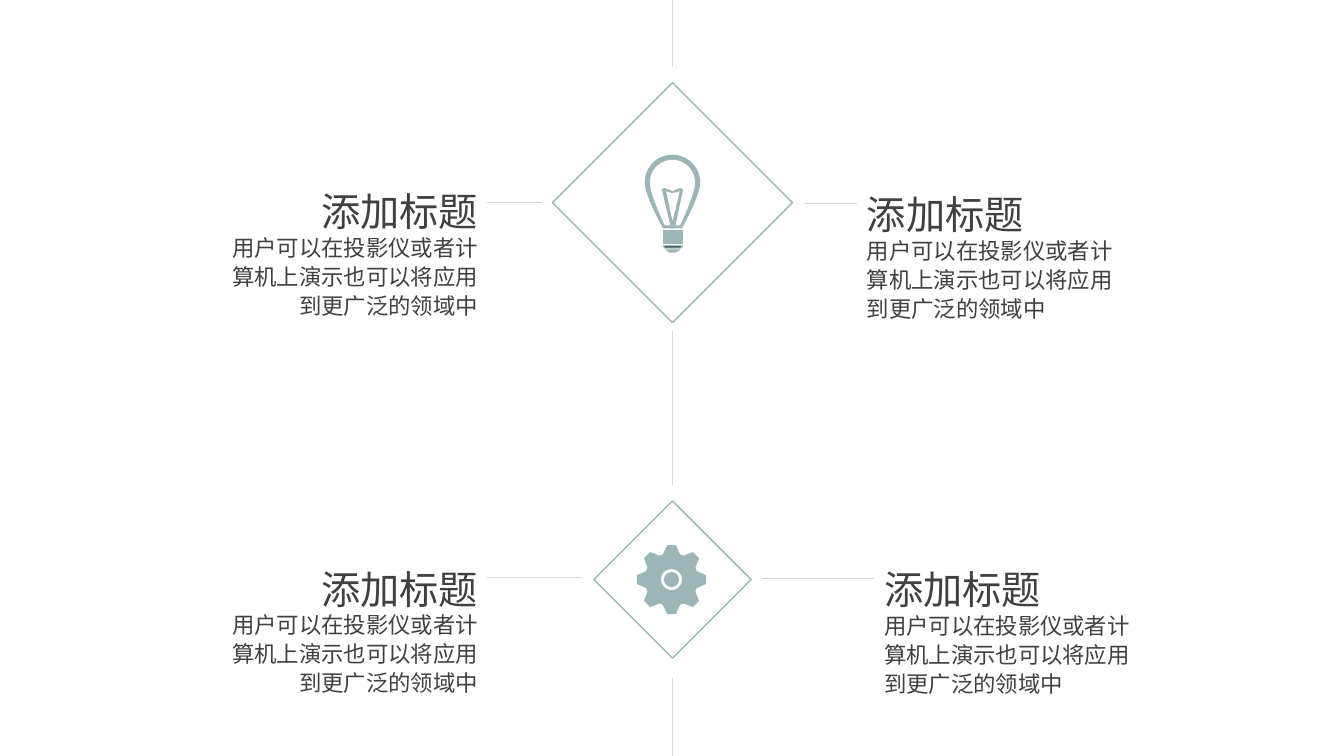
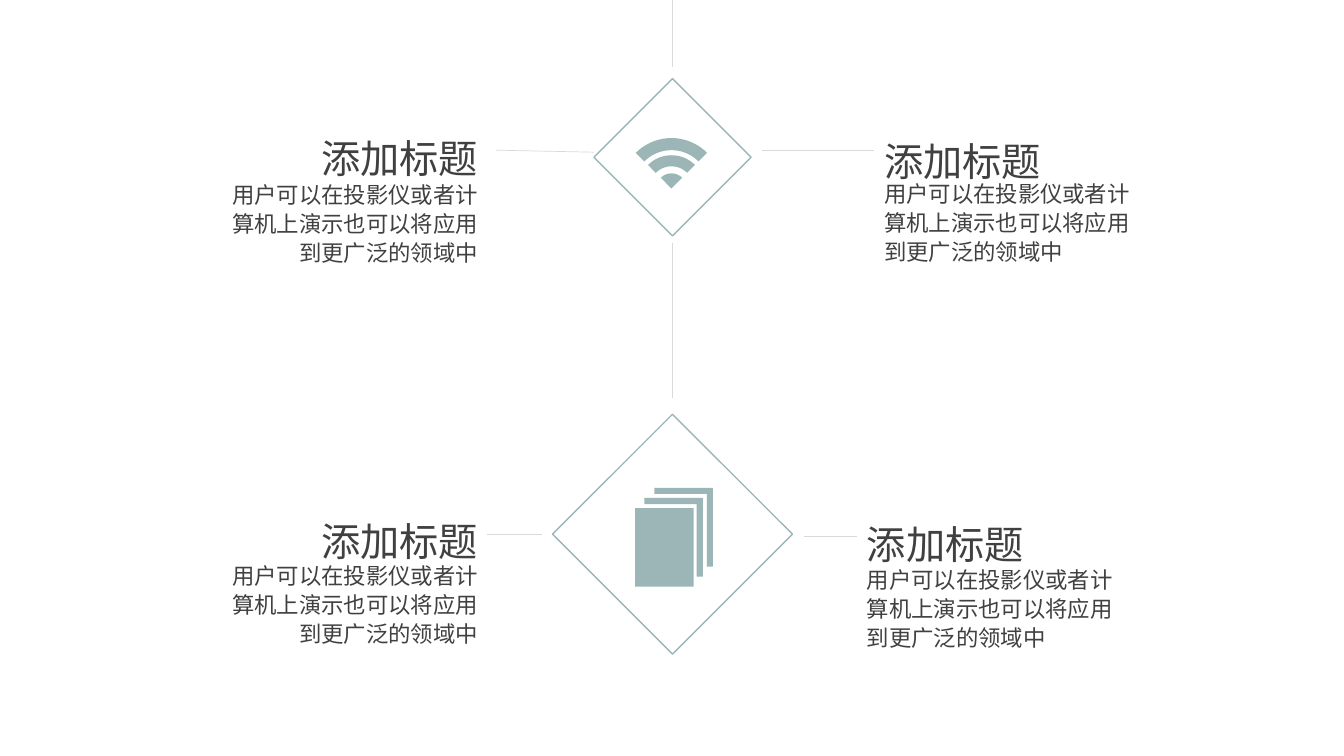
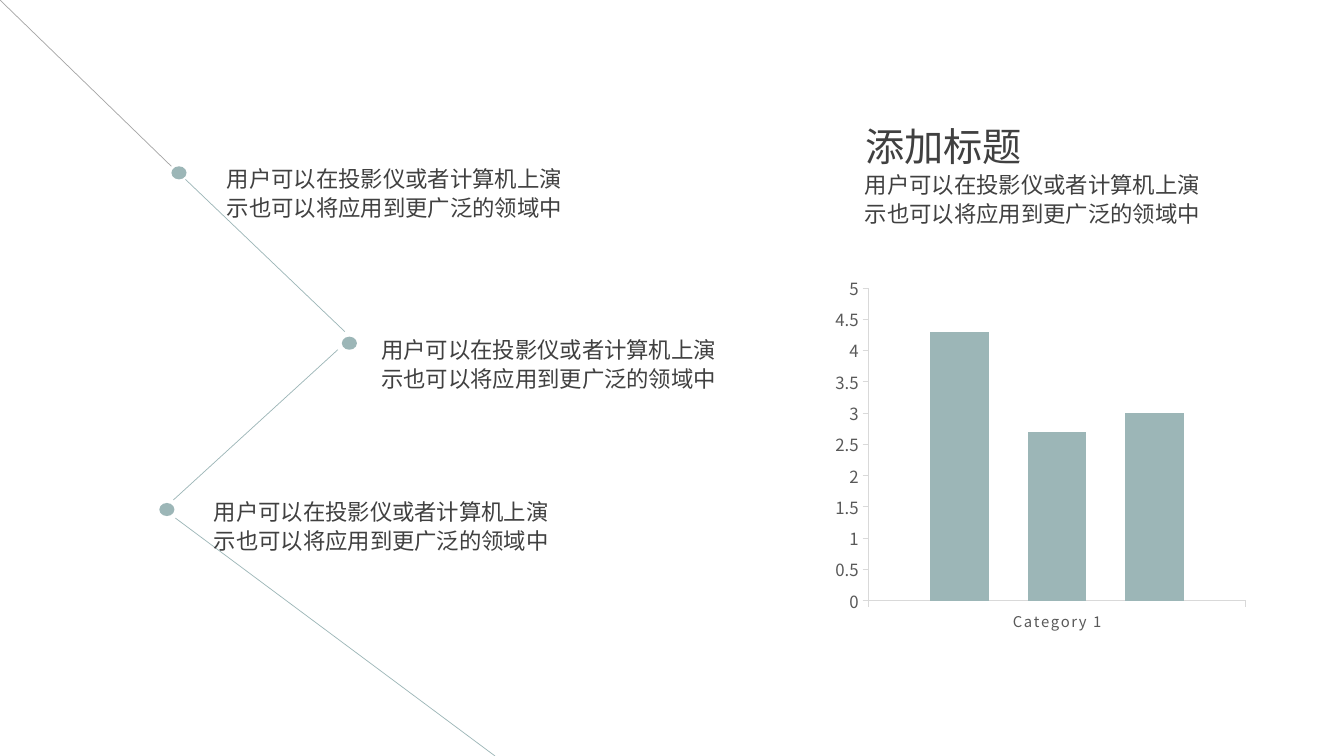
from dataclasses import dataclass
from math import cos, radians, sin

from lxml.etree import SubElement
from pptx import Presentation
from pptx.chart.data import CategoryChartData
from pptx.dml.color import RGBColor
from pptx.enum.chart import XL_CHART_TYPE as ChartType, XL_TICK_MARK as TickMark
from pptx.enum.shapes import MSO_CONNECTOR as Connector, MSO_SHAPE as Preset
from pptx.enum.text import MSO_ANCHOR as Anchor, MSO_AUTO_SIZE as AutoSize, PP_ALIGN as Align
from pptx.oxml.ns import qn
from pptx.util import Inches, Pt


@dataclass(frozen=True)
class Theme:
    font: str = "Noto Sans CJK SC"
    accent: RGBColor = RGBColor(0x9C, 0xB6, 0xB7)
    text: RGBColor = RGBColor(0x40, 0x40, 0x40)
    rule: RGBColor = RGBColor(0xD9, 0xD9, 0xD9)
    grey: RGBColor = RGBColor(0xA5, 0xA5, 0xA5)
    axis_text: RGBColor = RGBColor(0x59, 0x59, 0x59)
    dark: RGBColor = RGBColor(0x26, 0x26, 0x26)
    heading_size: float = 28
    body_size: float = 16
    category_size: float = 10.6
    value_size: float = 12
    hairline: float = 0.5
    icon_line: float = 0.75
    diamond_line: float = 1


THEME = Theme()
HEADING = "添加标题"
BODY = "用户可以在投影仪或者计算机上演示也可以将应用到更广泛的领域中"
WIDTH, HEIGHT = 13.33, 7.5
SPINE_X = 6.67
CAPTION_WIDTH = 2.72
LEFT_CAPTION_X = 2.12
LEFT_LINE_X = 4.83


def write_text(text_frame, text, size, align=Align.LEFT, margins=(0.1, 0.05)):
    text_frame.word_wrap = True
    text_frame.auto_size = AutoSize.SHAPE_TO_FIT_TEXT
    text_frame.vertical_anchor = Anchor.TOP
    text_frame.margin_left = text_frame.margin_right = Inches(margins[0])
    text_frame.margin_top = text_frame.margin_bottom = Inches(margins[1])
    text_frame.text = text
    paragraph = text_frame.paragraphs[0]
    paragraph.alignment = align
    paragraph.line_spacing = 1.08
    run = paragraph.runs[0]
    run.font.size = Pt(size)
    run.font.color.rgb = THEME.text
    run.font.name = THEME.font
    east_asian = SubElement(run._r.get_or_add_rPr(), qn("a:ea"))
    east_asian.set("typeface", THEME.font)


def add_text(slide, left, top, width, height, text, size, **options):
    box = slide.shapes.add_textbox(Inches(left), Inches(top), Inches(width), Inches(height))
    write_text(box.text_frame, text, size, **options)


def add_line(slide, start, end, color=THEME.rule):
    points = [Inches(value) for value in (*start, *end)]
    line = slide.shapes.add_connector(Connector.STRAIGHT, *points)
    line.line.color.rgb = color
    line.line.width = Pt(THEME.hairline)
    SubElement(line._element.spPr, qn("a:effectLst"))


def paint(shape, fill=None, line_width=None):
    shape.shadow.inherit = False
    if fill is None:
        shape.fill.background()
    else:
        shape.fill.solid()
        shape.fill.fore_color.rgb = fill
    if line_width is None:
        shape.line.fill.background()
    else:
        shape.line.color.rgb = THEME.accent
        shape.line.width = Pt(line_width)


def add_preset(shapes, preset, left, top, width, height, fill=None, line_width=None):
    shape = shapes.add_shape(preset, Inches(left), Inches(top), Inches(width), Inches(height))
    paint(shape, fill, line_width)


def add_outline(shapes, center, contours, fill=THEME.accent, line_width=None):
    placed = [[(Inches(center[0] + x), Inches(center[1] + y)) for x, y in contour]
              for contour in contours]
    builder = shapes.build_freeform(*placed[0][0])
    builder.add_line_segments(placed[0][1:], close=True)
    for contour in placed[1:]:
        builder.move_to(*contour[0])
        builder.add_line_segments(contour[1:], close=True)
    paint(builder.convert_to_shape(), fill, line_width)


def polar(radius, degrees):
    return radius * cos(radians(degrees)), radius * sin(radians(degrees))


def cubic(start, first, second, end, steps=16):
    points = []
    for step in range(steps + 1):
        t = step / steps
        weights = ((1 - t) ** 3, 3 * t * (1 - t) ** 2, 3 * t ** 2 * (1 - t), t ** 3)
        points.append(tuple(sum(weight * point[axis] for weight, point
                                in zip(weights, (start, first, second, end)))
                            for axis in (0, 1)))
    return points


def bulb_contour(radius, shoulder, hip, neck):
    head = [(x, y - 0.2) for x, y in (polar(radius, angle) for angle in range(-90, 1, 6))]
    right = head + cubic((radius, -0.2), (radius, shoulder), hip, neck)
    return right + [(-x, y) for x, y in reversed(right)]


def draw_bulb(shapes, center):
    glass = [bulb_contour(0.27, -0.07, (0.09, 0.25), (0.09, 0.25)),
             bulb_contour(0.23, -0.09, (0.11, 0.17), (0.08, 0.23))]
    filament = [[(0.1, -0.13), (0.08, -0.14), (0, -0.11), (-0.08, -0.14),
                 (-0.1, -0.13), (-0.01, 0.25), (0.02, 0.25)],
                [(0, 0.21), (-0.07, -0.12), (0, -0.1), (0.08, -0.12)]]
    socket = [[(-0.09, 0.28), (0.1, 0.28), (0.1, 0.41), (-0.09, 0.41)]]
    thread = [[(-0.09, 0.43), (0.1, 0.43), (0.08, 0.45), (-0.08, 0.45)]]
    cap = [[(-0.06, 0.47), (0.07, 0.47), (0.03, 0.49), (-0.03, 0.49)]]
    for contours, fill in ((glass, THEME.accent), (thread, THEME.dark), (cap, THEME.accent),
                           (socket, THEME.accent), (filament, THEME.accent)):
        add_outline(shapes, center, contours, fill, THEME.icon_line)


def draw_gear(shapes, center):
    x, y = center[0] - 0.01, center[1]
    tooth = ((0.26, -18), (0.34, -6.7), (0.34, 6.7), (0.26, 18))
    rim = [polar(radius, turn + angle) for turn in range(0, 360, 45) for radius, angle in tooth]
    hole = [polar(0.11, angle) for angle in range(360, 0, -10)]
    add_outline(shapes, (x, y), [rim, hole], line_width=THEME.icon_line)
    add_preset(shapes, Preset.OVAL, x - 0.07, y - 0.07, 0.14, 0.14,
               THEME.accent, THEME.icon_line)


def draw_signal(shapes, center):
    for inner, outer in ((0, 0.15), (0.22, 0.33), (0.38, 0.5)):
        band = [polar(outer, angle) for angle in range(-135, -44, 5)]
        band += [polar(inner, angle) for angle in range(-45, -136, -5)]
        add_outline(shapes, (center[0] - 0.01, center[1] + 0.31), [band])


def draw_sheets(shapes, center):
    width, height, edge = 0.58, 0.78, 0.06
    for left, top in ((-0.28, -0.36), (-0.18, -0.46)):
        right, bottom = left + width, top + height
        add_outline(shapes, center, [[
            (left, top), (right, top), (right, bottom), (right - edge, bottom),
            (right - edge, top + edge), (left, top + edge)]])
    add_preset(shapes, Preset.RECTANGLE, center[0] - 0.37, center[1] - 0.26,
               width, height, THEME.accent)


def add_caption(slide, left, top, body_offset, align):
    add_text(slide, left, top, CAPTION_WIDTH, 0.59, HEADING, THEME.heading_size, align=align)
    add_text(slide, left, top + body_offset, CAPTION_WIDTH, 0.96, BODY, THEME.body_size,
             align=align)


@dataclass(frozen=True)
class Station:
    center_y: float
    size: float
    draw_icon: object
    left_caption: tuple
    right_caption: tuple
    left_line: tuple
    right_line_y: float
    right_x: float


LARGE = dict(size=2.38, right_x=8.5)
SMALL = dict(size=1.56, right_x=8.67)


def add_station(slide, station):
    half = station.size / 2
    left, top = SPINE_X - half, station.center_y - half
    group = slide.shapes.add_group_shape()
    add_preset(group.shapes, Preset.DIAMOND, left, top, station.size, station.size,
               line_width=THEME.diamond_line)
    station.draw_icon(group.shapes, (SPINE_X, station.center_y))
    add_line(slide, *station.left_line)
    add_line(slide, (SPINE_X + half + 0.11, station.right_line_y),
             (station.right_x, station.right_line_y))
    add_caption(slide, LEFT_CAPTION_X, *station.left_caption, Align.RIGHT)
    add_caption(slide, station.right_x, *station.right_caption, Align.LEFT)


def build_timeline(presentation, spine, stations):
    slide = presentation.slides.add_slide(presentation.slide_layouts[6])
    for top, bottom in spine:
        add_line(slide, (SPINE_X, top), (SPINE_X, bottom))
    for station in stations:
        add_station(slide, station)


def style_axis(axis, size):
    axis.has_major_gridlines = False
    axis.major_tick_mark = TickMark.OUTSIDE
    axis.minor_tick_mark = TickMark.NONE
    axis.format.line.color.rgb = THEME.rule
    axis.format.line.width = Pt(0.75)
    font = axis.tick_labels.font
    font.size = Pt(size)
    font.name = THEME.font
    font.color.rgb = THEME.axis_text
    return font


def add_column_chart(slide, left, top, width, height):
    data = CategoryChartData()
    data.categories = ["Category 1"]
    for number, value in enumerate((4.3, 2.7, 3), start=1):
        data.add_series(f"Series {number}", [value])
    chart = slide.shapes.add_chart(ChartType.COLUMN_CLUSTERED, Inches(left), Inches(top),
                                   Inches(width), Inches(height), data).chart
    chart.has_legend = False
    chart.has_title = False
    chart.font.name = THEME.font
    chart.font.size = Pt(10)
    plot = chart.plots[0]
    plot.gap_width, plot.overlap = 212, -67
    plot.vary_by_categories = False
    for series in plot.series:
        series.format.fill.solid()
        series.format.fill.fore_color.rgb = THEME.accent
    category_font = style_axis(chart.category_axis, THEME.category_size)
    category_font._rPr.set("spc", "120")
    style_axis(chart.value_axis, THEME.value_size)
    chart.value_axis.minimum_scale = 0
    chart.value_axis.maximum_scale = 5
    chart.value_axis.major_unit = 0.5


def add_zigzag(slide):
    add_line(slide, (0, 0), (1.7, 1.65), THEME.grey)
    for start, end in (((1.84, 1.78), (3.42, 3.29)), ((3.35, 3.47), (1.72, 4.96)),
                       ((1.74, 5.14), (4.91, HEIGHT))):
        add_line(slide, start, end, THEME.accent)
    for dot, note in (((1.7, 1.65), (2.01, 1.5)), ((3.39, 3.34), (3.54, 3.19)),
                      ((1.58, 4.99), (1.88, 4.8))):
        add_preset(slide.shapes, Preset.OVAL, *dot, 0.15, 0.13, THEME.accent)
        add_text(slide, *note, 3.89, 0.81, BODY, THEME.body_size, margins=(0.24, 0.12))


def build_chart_slide(presentation):
    slide = presentation.slides.add_slide(presentation.slide_layouts[5])
    title = slide.shapes.title
    title.left, title.top = Inches(8.48), Inches(1.13)
    title.width, title.height = Inches(2.73), Inches(0.59)
    write_text(title.text_frame, HEADING, THEME.heading_size)
    add_text(slide, 8.48, 1.63, 3.68, 0.67, BODY, THEME.body_size)
    add_zigzag(slide)
    add_column_chart(slide, 8.2, 2.66, 4.24, 3.68)


def main():
    presentation = Presentation()
    presentation.slide_width, presentation.slide_height = Inches(WIDTH), Inches(HEIGHT)
    build_timeline(presentation, [(0, 0.66), (3.28, 4.81), (6.73, HEIGHT)], [
        Station(2.01, draw_icon=draw_bulb, left_caption=(1.77, 0.48),
                right_caption=(1.8, 0.48), left_line=((LEFT_LINE_X, 2.01), (5.38, 2.01)),
                right_line_y=2.02, **LARGE),
        Station(5.75, draw_icon=draw_gear, left_caption=(5.52, 0.47),
                right_caption=(5.52, 0.48), left_line=((LEFT_LINE_X, 5.73), (5.77, 5.73)),
                right_line_y=5.74, **SMALL)])
    build_timeline(presentation, [(0, 0.66), (2.41, 3.95)], [
        Station(1.56, draw_icon=draw_signal, left_caption=(1.25, 0.48),
                right_caption=(1.28, 0.44), left_line=((4.92, 1.49), (5.89, 1.51)),
                right_line_y=1.49, **SMALL),
        Station(5.3, draw_icon=draw_sheets, left_caption=(5.05, 0.46),
                right_caption=(5.08, 0.47), left_line=((LEFT_LINE_X, 5.3), (5.38, 5.3)),
                right_line_y=5.32, **LARGE)])
    build_chart_slide(presentation)
    presentation.save("out.pptx")


if __name__ == "__main__":
    main()
